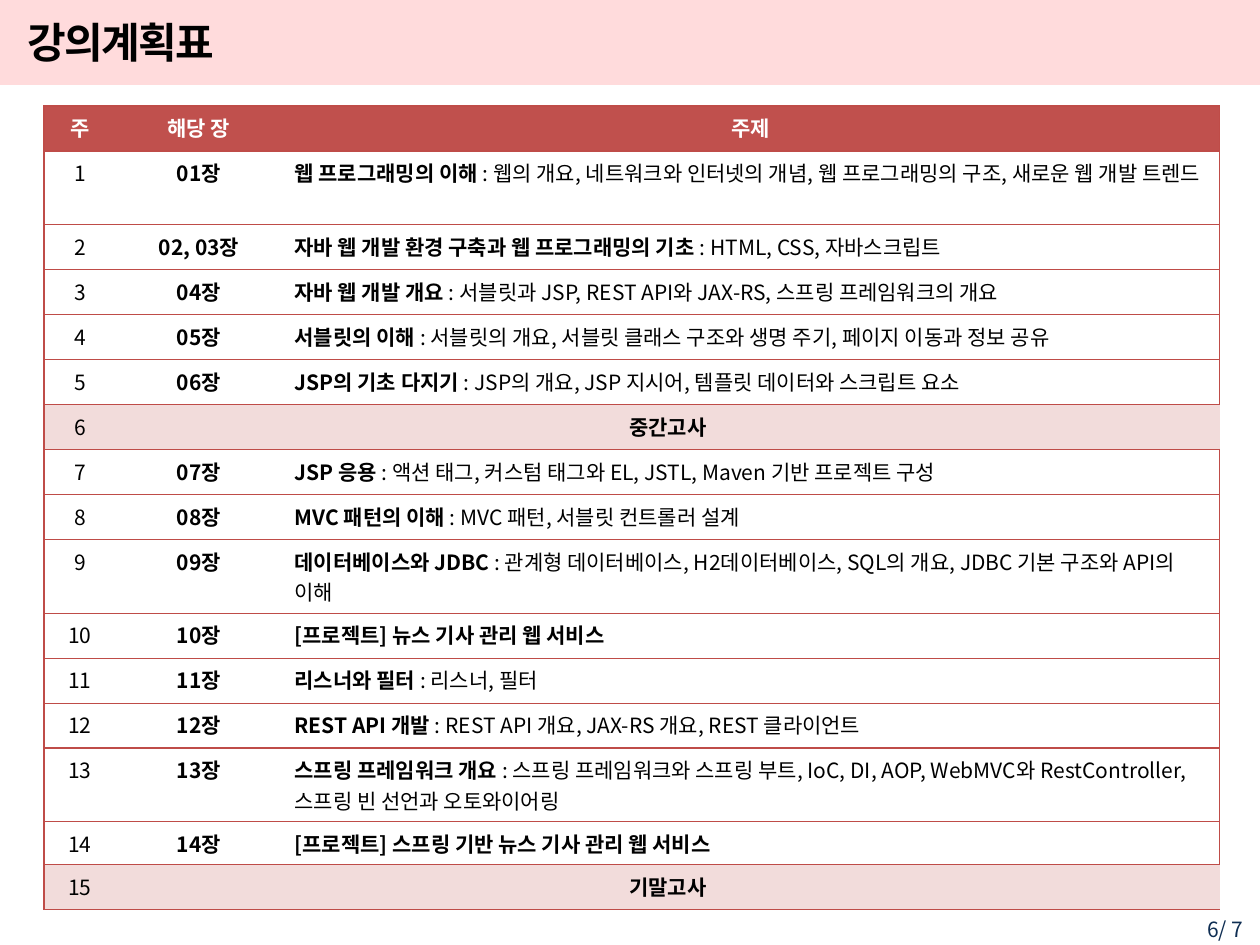
from lxml.etree import SubElement
from pptx import Presentation
from pptx.dml.color import RGBColor
from pptx.enum.shapes import MSO_SHAPE
from pptx.enum.text import MSO_ANCHOR, MSO_AUTO_SIZE, PP_ALIGN
from pptx.oxml.ns import qn
from pptx.util import Pt

PX = 914400 / 126
FONT = "Noto Sans CJK KR"
BLACK, WHITE, NAVY = "000000", "FFFFFF", "0F2E53"
RED, PINK, BORDER, BAR = "C0504D", "F2DCDB", "BF4C48", "FF7C80"

TITLE = "강의계획표"
PAGE = "6/ 7"
HEADINGS = ("주", "해당 장", "주제")
WEEKS = [
    ("01장", "웹 프로그래밍의 이해 ", ": 웹의 개요, 네트워크와 인터넷의 개념, 웹 프로그래밍의 구조, 새로운 웹 개발 트렌드"),
    ("02, 03장", "자바 웹 개발 환경 구축과 웹 프로그래밍의 기초 ", ": HTML, CSS, 자바스크립트"),
    ("04장", "자바 웹 개발 개요 ", ": 서블릿과 JSP, REST API와 JAX-RS, 스프링 프레임워크의 개요"),
    ("05장", "서블릿의 이해 ", ": 서블릿의 개요, 서블릿 클래스 구조와 생명 주기, 페이지 이동과 정보 공유"),
    ("06장", "JSP의 기초 다지기 ", ": JSP의 개요, JSP 지시어, 템플릿 데이터와 스크립트 요소"),
    ("중간고사",),
    ("07장", "JSP 응용 ", ": 액션 태그, 커스텀 태그와 EL, JSTL, Maven 기반 프로젝트 구성"),
    ("08장", "MVC 패턴의 이해 ", ": MVC 패턴, 서블릿 컨트롤러 설계"),
    ("09장", "데이터베이스와 JDBC", " : 관계형 데이터베이스, H2데이터베이스, SQL의 개요, JDBC 기본 구조와 API의 이해"),
    ("10장", "[프로젝트] 뉴스 기사 관리 웹 서비스"),
    ("11장", "리스너와 필터 ", ": 리스너, 필터"),
    ("12장", "REST API 개발 ", ": REST API 개요, JAX-RS 개요, REST 클라이언트"),
    ("13장", "스프링 프레임워크 개요 ", ": 스프링 프레임워크와 스프링 부트, IoC, DI, AOP, WebMVC와 RestController, 스프링 빈 선언과 오토와이어링"),
    ("14장", "[프로젝트] 스프링 기반 뉴스 기사 관리 웹 서비스"),
    ("기말고사",),
]
COLUMN_WIDTHS = (72, 166, 938)
ROW_HEIGHT, SHORT_ROW_HEIGHT = 45, 32
SHORT_WEEKS = (13, 14)


def px(*lengths):
    return [round(length * PX) for length in lengths]


def rgb(color):
    return RGBColor.from_string(color)


def style(run, color=BLACK, bold=False, size=12):
    run.font.name, run.font.size, run.font.bold = FONT, Pt(size), bold
    run.font.color.rgb = rgb(color)
    SubElement(run.font._element, qn("a:ea"), typeface=FONT)


def write(frame, parts, align=PP_ALIGN.LEFT):
    paragraph = frame.paragraphs[0]
    paragraph.alignment = align
    for text, color, bold in parts:
        run = paragraph.add_run()
        run.text = text
        style(run, color, bold)


def set_borders(cell, column):
    visible = {"L": column == 0, "R": column == len(COLUMN_WIDTHS) - 1, "T": True, "B": True}
    for side, shown in visible.items():
        line = SubElement(cell._tc.get_or_add_tcPr(), qn(f"a:ln{side}"), w=str(Pt(0.75)))
        if shown:
            SubElement(SubElement(line, qn("a:solidFill")), qn("a:srgbClr"), val=BORDER)
        else:
            SubElement(line, qn("a:noFill"))


def add_bar(slide):
    bar = slide.shapes.add_shape(MSO_SHAPE.RECTANGLE, *px(0, 0, 1260, 85))
    bar.shadow.inherit = False
    bar.line.fill.background()
    bar.fill.solid()
    bar.fill.fore_color.rgb = rgb(BAR)
    SubElement(bar._element.spPr.find(".//" + qn("a:srgbClr")), qn("a:alpha"), val="27000")
    slide.shapes._spTree.insert(2, bar._element)


def add_title(slide):
    title = slide.shapes.title
    title.left, title.top, title.width, title.height = px(15, 9, 1072, 65)
    frame = title.text_frame
    frame.text = TITLE
    frame.auto_size = MSO_AUTO_SIZE.NONE
    frame.vertical_anchor = MSO_ANCHOR.MIDDLE
    frame.paragraphs[0].alignment = PP_ALIGN.LEFT
    run = frame.paragraphs[0].runs[0]
    style(run, bold=True, size=24)
    run.font._element.set("spc", "-100")


def add_schedule(slide):
    row_count = len(WEEKS) + 1
    table = slide.shapes.add_table(
        row_count, len(HEADINGS), *px(44, 106, sum(COLUMN_WIDTHS), ROW_HEIGHT * row_count)
    ).table
    table.horz_banding = False
    for column, width in zip(table.columns, px(*COLUMN_WIDTHS)):
        column.width = width
    for week, row in enumerate(table.rows):
        row.height = px(SHORT_ROW_HEIGHT if week in SHORT_WEEKS else ROW_HEIGHT)[0]
        exam = week > 0 and len(WEEKS[week - 1]) == 1
        fill = RED if week == 0 else PINK if exam else None
        for column, cell in enumerate(row.cells):
            set_borders(cell, column)
            if fill:
                cell.fill.solid()
                cell.fill.fore_color.rgb = rgb(fill)
            else:
                cell.fill.background()
        if week == 0:
            for cell, heading in zip(row.cells, HEADINGS):
                write(cell.text_frame, [(heading, WHITE, True)], PP_ALIGN.CENTER)
            continue
        chapter, *topic = WEEKS[week - 1]
        number_cell, chapter_cell, topic_cell = row.cells
        if exam:
            chapter_cell.merge(topic_cell)
        write(number_cell.text_frame, [(str(week), BLACK, False)], PP_ALIGN.CENTER)
        write(chapter_cell.text_frame, [(chapter, BLACK, True)], PP_ALIGN.CENTER)
        write(topic_cell.text_frame, [(text, BLACK, i == 0) for i, text in enumerate(topic)])


def add_page_number(slide):
    frame = slide.shapes.add_textbox(*px(1140, 910, 116, 29)).text_frame
    frame.word_wrap = True
    write(frame, [(PAGE, NAVY, False)], PP_ALIGN.RIGHT)


def main():
    presentation = Presentation()
    presentation.slide_width, presentation.slide_height = px(1260, 945)
    slide = presentation.slides.add_slide(presentation.slide_layouts[5])
    add_bar(slide)
    add_title(slide)
    add_schedule(slide)
    add_page_number(slide)
    presentation.save("out.pptx")


if __name__ == "__main__":
    main()
